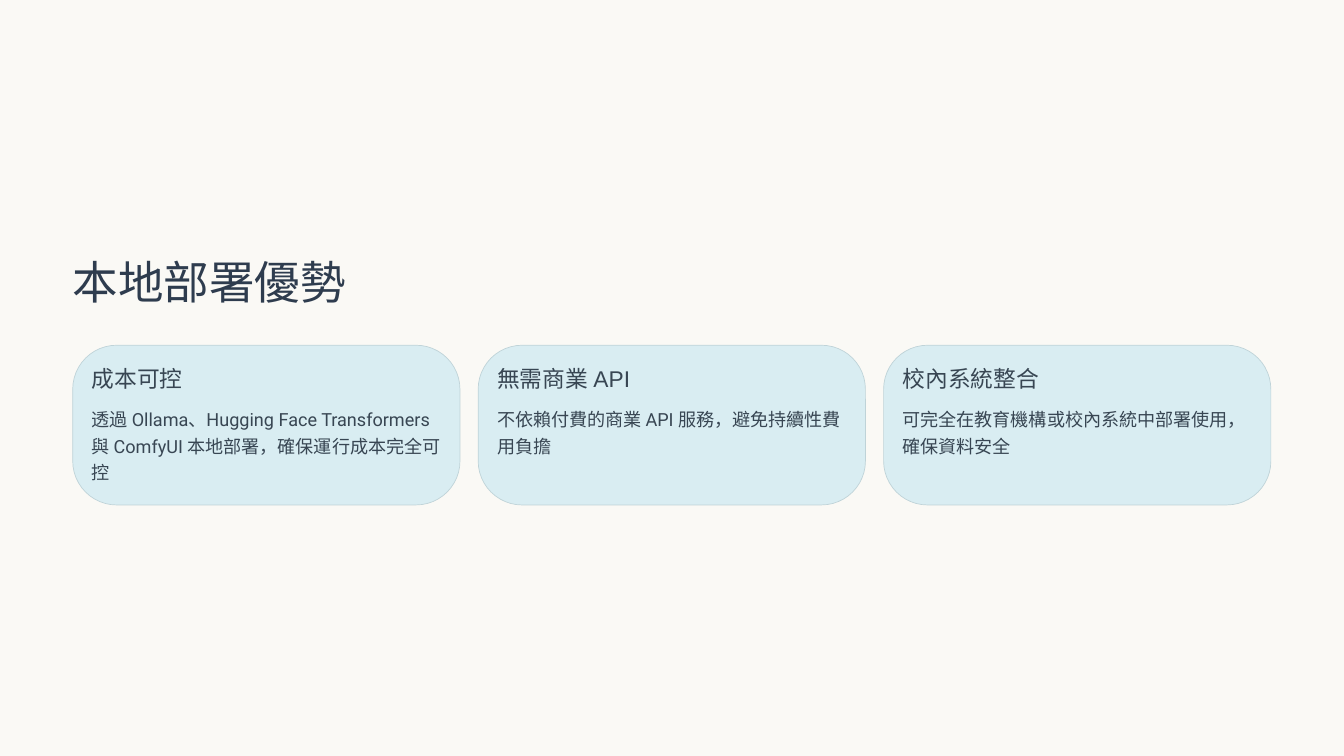
from dataclasses import dataclass

from pptx import Presentation
from pptx.dml.color import RGBColor
from pptx.enum import shapes, text
from pptx.util import Cm, Pt

COLORS = {
    "background": "FAF9F5",
    "title": "2E3C4E",
    "body": "384653",
    "card": "D9EDF2",
    "border": "BFD3D8",
}

CARD_LEFT, CARD_TOP = 2.2, 10.44
CARD_WIDTH, CARD_HEIGHT = 11.71, 4.83
CARD_PITCH = 12.26
PADDING = 0.57


@dataclass(frozen=True)
class TextStyle:
    font: str
    size: float
    leading: float
    color: str
    wrap: bool = False


@dataclass(frozen=True)
class Card:
    heading: str
    body: str


TITLE = TextStyle("Arial", 39, 48.5, "title")
HEADING = TextStyle("Arial", 19.5, 24, "body")
BODY = TextStyle("Roboto", 15.5, 23, "body", wrap=True)

CARDS = [
    Card("成本可控",
         "透過 Ollama、Hugging Face Transformers 與 ComfyUI 本地部署，確保運行成本完全可控"),
    Card("無需商業 API", "不依賴付費的商業 API 服務，避免持續性費用負擔"),
    Card("校內系統整合", "可完全在教育機構或校內系統中部署使用，確保資料安全"),
]


def rgb(name: str) -> RGBColor:
    return RGBColor.from_string(COLORS[name])


def add_text(s, content: str, style: TextStyle, left: float, top: float,
             width: float, height: float) -> None:
    """Add a one-paragraph text box without margins; lengths in centimetres."""
    box = s.shapes.add_textbox(Cm(left), Cm(top), Cm(width), Cm(height))
    tf = box.text_frame
    tf.margin_left = tf.margin_top = tf.margin_right = tf.margin_bottom = 0
    tf.word_wrap = style.wrap
    tf.vertical_anchor = text.MSO_ANCHOR.TOP
    p = tf.paragraphs[0]
    p.alignment = text.PP_ALIGN.LEFT
    p.line_spacing = Pt(style.leading)
    r = p.add_run()
    r.text = content
    r.font.name = style.font
    r.font.size = Pt(style.size)
    r.font.color.rgb = rgb(style.color)


def add_card(s, card: Card, left: float) -> None:
    sp = s.shapes.add_shape(shapes.MSO_SHAPE.ROUNDED_RECTANGLE, Cm(left),
                            Cm(CARD_TOP), Cm(CARD_WIDTH), Cm(CARD_HEIGHT))
    sp.adjustments[0] = 0.275
    sp.shadow.inherit = False
    sp.fill.solid()
    sp.fill.fore_color.rgb = rgb("card")
    sp.line.color.rgb = rgb("border")
    sp.line.width = Pt(0.6)
    text_left = left + PADDING
    text_width = CARD_WIDTH - 2 * PADDING
    add_text(s, card.heading, HEADING, text_left, CARD_TOP + PADDING, 6.88, 0.86)
    add_text(s, card.body, BODY, text_left, CARD_TOP + 1.75, text_width, 2.49)


def main() -> None:
    prs = Presentation()
    prs.slide_width, prs.slide_height = Cm(40.64), Cm(22.86)
    s = prs.slides.add_slide(prs.slide_layouts[6])
    s.background.fill.solid()
    s.background.fill.fore_color.rgb = rgb("background")

    add_text(s, "本地部署優勢", TITLE, CARD_LEFT, 7.62, 13.79, 1.73)
    for i, card in enumerate(CARDS):
        add_card(s, card, CARD_LEFT + i * CARD_PITCH)

    prs.save("out.pptx")


if __name__ == "__main__":
    main()
